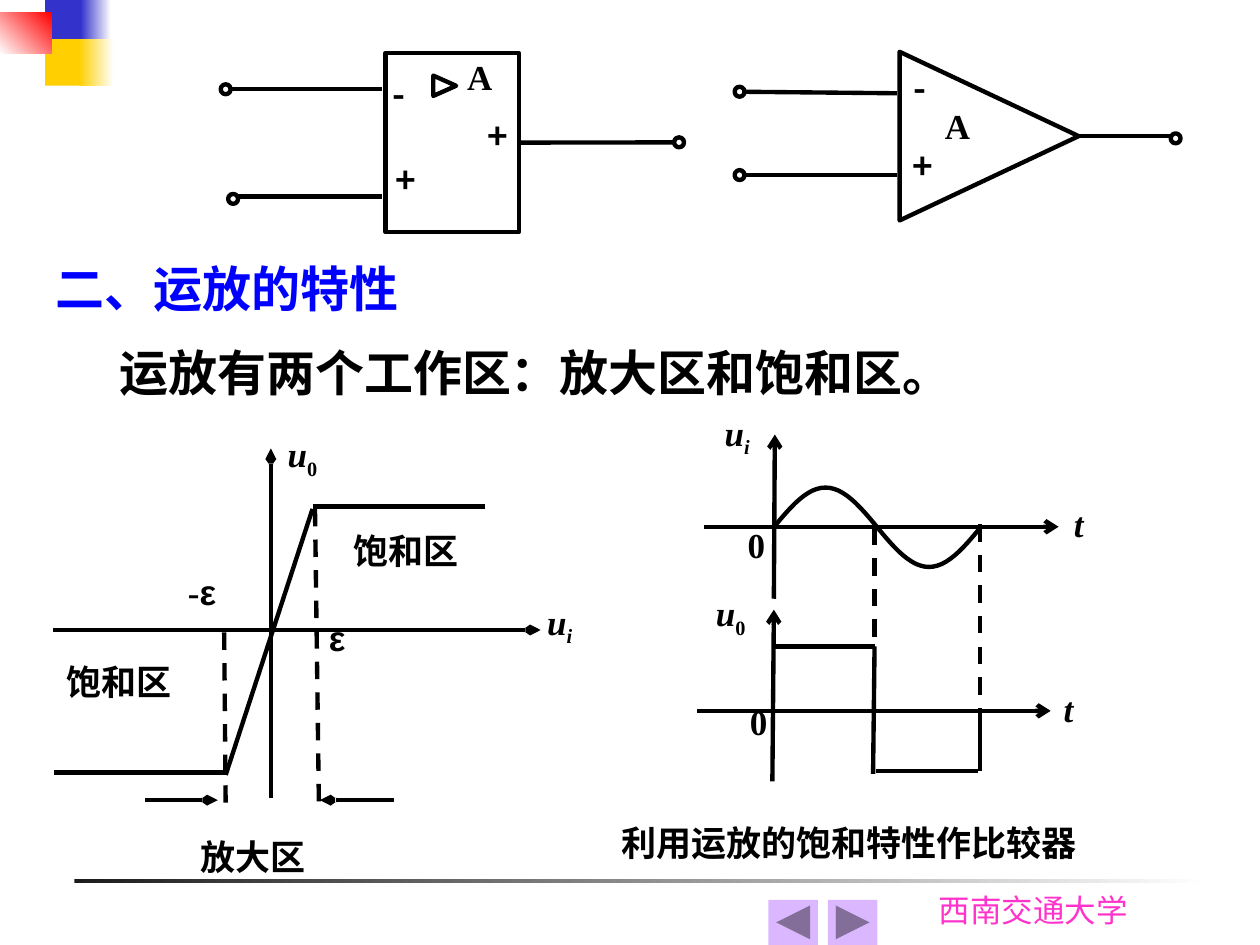
"""Build a slide on operational amplifier symbols and their characteristics."""
import math

import lxml.etree
import pptx
import pptx.dml.color
import pptx.enum.dml
import pptx.enum.shapes
import pptx.enum.text
import pptx.oxml.ns
import pptx.util

Cm = pptx.util.Cm
Pt = pptx.util.Pt
SHAPE = pptx.enum.shapes.MSO_SHAPE
ALIGN = pptx.enum.text.PP_ALIGN
SERIF = "Times New Roman"
SANS = "Noto Sans CJK SC"
BLACK, WHITE = "000000", "FFFFFF"
STROKE = Pt(2.5)
TIGHT, SNUG, ROOMY = (0, 0), (0.03, 0.03), (0.25, 0.13)
SIGN, GAIN = (0.91, 1.27), (1.27, 1.35)
REGION, AXIS, TICK = (2.82, 1.32), (2.64, 1.32), (1.02, 1.04)
U_IN = [("u", True, False), ("i", True, True)]
U_OUT = [("u", True, False), ("0", False, True)]
TIME = [("t", True, False)]


def color(value):
    return pptx.dml.color.RGBColor.from_string(value)


def add_block(slide, kind, box, fills, angle=0, outlined=False, rotation=0):
    """Draw a preset shape with one fill colour or a two-colour gradient."""
    block = slide.shapes.add_shape(kind, *map(Cm, box))
    block.shadow.inherit = False
    block.rotation = rotation
    if len(fills) == 1:
        block.fill.solid()
        block.fill.fore_color.rgb = color(fills[0])
    else:
        block.fill.gradient()
        block.fill.gradient_angle = angle
        for stop, value in zip(block.fill.gradient_stops, fills):
            stop.color.rgb = color(value)
    if outlined:
        block.line.color.rgb = color(BLACK)
        block.line.width = STROKE
    else:
        block.line.fill.background()
    return block


def add_line(slide, start, end, dashed=False, arrow_width=None):
    """Draw a straight stroke, with an open arrowhead if a width is given."""
    stroke = slide.shapes.add_connector(
        pptx.enum.shapes.MSO_CONNECTOR.STRAIGHT, *map(Cm, start + end))
    stroke.line.color.rgb = color(BLACK)
    stroke.line.width = STROKE
    if dashed:
        stroke.line.dash_style = pptx.enum.dml.MSO_LINE.DASH
    qn = pptx.oxml.ns.qn
    if arrow_width:
        lxml.etree.SubElement(stroke.line._get_or_add_ln(), qn("a:tailEnd"),
                              type="arrow", w=arrow_width, len="med")
    lxml.etree.SubElement(stroke._element.spPr, qn("a:effectLst"))
    return stroke


def add_text(slide, place, size, content, inset=SNUG, points=20, font=SERIF,
             ink=BLACK, bold=True, align=ALIGN.JUSTIFY, middle=False, wrap=True):
    """Write one paragraph; content is a string or (text, italic, subscript) runs."""
    box = slide.shapes.add_textbox(*map(Cm, place + size))
    frame = box.text_frame
    frame.word_wrap = wrap
    frame.margin_left = frame.margin_right = Cm(inset[0])
    frame.margin_top = frame.margin_bottom = Cm(inset[1])
    if middle:
        frame.vertical_anchor = pptx.enum.text.MSO_ANCHOR.MIDDLE
    paragraph = frame.paragraphs[0]
    paragraph.alignment = align
    paragraph.font.name = font
    paragraph.font.size = Pt(points)
    paragraph.font.bold = bold
    paragraph.font.color.rgb = color(ink)
    runs = [(content, False, False)] if isinstance(content, str) else content
    if all(italic for _, italic, _ in runs):
        paragraph.font.italic = True
    for text, italic, subscript in runs:
        run = paragraph.add_run()
        run.text = text
        if italic:
            run.font.italic = True
        if subscript:
            run._r.get_or_add_rPr().set("baseline", "-25000")
    return paragraph


def add_terminals(slide, places):
    """Draw the small open circles at the ends of the leads."""
    for place in places:
        add_block(slide, SHAPE.OVAL, place + (0.2, 0.2), [WHITE], outlined=True)


def add_sine(slide, left, axis, period, height):
    """Draw one period of a sine wave."""
    steps = 48
    points = [(Cm(left + period * n / steps),
               Cm(axis - height * math.sin(2 * math.pi * n / steps)))
              for n in range(steps + 1)]
    builder = slide.shapes.build_freeform(*points[0])
    builder.add_line_segments(points[1:], close=False)
    wave = builder.convert_to_shape()
    wave.shadow.inherit = False
    wave.fill.background()
    wave.line.color.rgb = color(BLACK)
    wave.line.width = STROKE


def add_decoration(slide):
    """Draw the corner squares, the footer and the navigation buttons."""
    for box, fills, angle in [
            ((1.5, 17.73, 22.86, 0.08), ["1C1C1C", WHITE], 0),
            ((0.91, 0, 0.81, 0.94), ["3333CC"], 0),
            ((1.63, 0, 0.61, 0.94), ["3333CC", WHITE], 0),
            ((0.91, 0.79, 0.79, 0.94), ["FFCF01"], 0),
            ((1.6, 0.79, 0.69, 0.94), ["FFCF01", WHITE], 0),
            ((0, 0.25, 1.04, 0.84), [WHITE, "FF0000"], 45)]:
        add_block(slide, SHAPE.RECTANGLE, box, fills, angle)
    add_text(slide, (18.67, 17.83), (4.6, 1.02), "西南交通大学", ROOMY, 18,
             "Karla", "FF33CC", bold=False, align=ALIGN.LEFT)
    for kind, left in [(SHAPE.ACTION_BUTTON_BACK_OR_PREVIOUS, 15.49),
                       (SHAPE.ACTION_BUTTON_FORWARD_OR_NEXT, 16.69)]:
        add_block(slide, kind, (left, 18.14, 1, 0.91), ["DBB7FF"])


def add_symbols(slide):
    """Draw the rectangular and the triangular amplifier symbols."""
    body = add_block(slide, SHAPE.RECTANGLE, (7.77, 1.07, 2.69, 3.61), [WHITE],
                     outlined=True)
    for box in [(8.76, 1.5, 0.41, 0.46), (18.24, 0.94, 3.4, 3.61)]:
        add_block(slide, SHAPE.ISOSCELES_TRIANGLE, box, [WHITE],
                  outlined=True, rotation=90)
    output = add_line(slide, (10.46, 2.87), (13.61, 2.87))
    output.begin_connect(body, 3)
    for start, end in [((7.7, 1.8), (4.65, 1.8)), ((7.7, 3.96), (4.65, 3.96)),
                       ((18.08, 1.88), (15.01, 1.85)),
                       ((18.08, 3.53), (15.01, 3.53)),
                       ((21.69, 2.74), (23.6, 2.74))]:
        add_line(slide, start, end)
    add_terminals(slide, [(4.45, 1.7), (4.6, 3.91), (13.59, 2.77),
                          (14.81, 1.75), (14.81, 3.43), (23.6, 2.69)])
    for sign, place in [("-", (7.92, 1.47)), ("+", (7.98, 3.2)), ("+", (9.83, 2.31)),
                        ("-", (18.41, 1.35)), ("+", (18.39, 2.92))]:
        add_text(slide, place, SIGN, sign, TIGHT, font=SANS)
    for place in [(9.42, 1.12), (19.05, 2.11)]:
        add_text(slide, place, GAIN, "A", TIGHT)


def add_transfer_curve(slide):
    """Draw the output against input characteristic."""
    for start, end in [((1.07, 12.7), (10.9, 12.7)), ((5.46, 16.08), (5.46, 9.04)),
                       ((2.92, 16.13), (4.39, 16.13)), ((7.95, 16.13), (6.45, 16.13))]:
        add_line(slide, start, end, arrow_width="sm")
    for start, end in [((6.3, 10.26), (4.55, 15.62)), ((6.3, 10.21), (9.78, 10.21)),
                       ((1.09, 15.57), (4.6, 15.57))]:
        add_line(slide, start, end)
    for start, end in [((6.35, 10.26), (6.43, 16.31)), ((4.52, 12.75), (4.55, 16.36))]:
        add_line(slide, start, end, dashed=True)
    for content, place, size in [
            ("饱和区", (7.09, 10.64), REGION), ("饱和区", (1.32, 13.28), REGION),
            ("放大区", (4.01, 16.81), REGION),
            (U_IN, (11, 12.07), AXIS), (U_OUT, (5.77, 8.69), AXIS)]:
        add_text(slide, place, size, content)
    add_text(slide, (6.6, 12.4), (1.65, 1.32), "ε", font="Arial")
    threshold = add_text(slide, (3.76, 11.48), (1.65, 1.32),
                         [("-", False, False), ("ε", False, False)])
    threshold.runs[1].font.name = "Arial"


def add_comparator_waves(slide):
    """Draw the sine input and the square output over time."""
    for start, end in [((14.2, 10.62), (21.34, 10.62)), ((15.6, 12.07), (15.62, 8.76)),
                       ((14.05, 14.33), (21.18, 14.33)), ((15.57, 15.75), (15.6, 12.29))]:
        add_line(slide, start, end, arrow_width="med")
    for start, end in [((19.76, 10.57), (19.76, 14.38)), ((17.63, 10.64), (17.63, 13))]:
        add_line(slide, start, end, dashed=True)
    for start, end in [((15.62, 13.03), (17.63, 13.03)), ((17.63, 13.03), (17.6, 15.6)),
                       ((17.65, 15.54), (19.71, 15.54)), ((19.76, 14.35), (19.76, 15.54))]:
        add_line(slide, start, end)
    add_sine(slide, 15.6, 10.63, 4.17, 0.8)
    for content, place in [(U_IN, (14.58, 8.26)), (U_OUT, (14.4, 11.89)),
                           (TIME, (21.62, 10.11)), (TIME, (21.41, 13.82)),
                           ("0", (15.04, 10.52)), ("0", (15.09, 14.1))]:
        add_text(slide, place, TICK, content)
    add_text(slide, (12.27, 16.43), (11.51, 1.65), "利用运放的饱和特性作比较器", ROOMY)


def main():
    deck = pptx.Presentation()
    deck.slide_width, deck.slide_height = Cm(25.4), Cm(19.05)
    slide = deck.slides.add_slide(deck.slide_layouts[6])
    add_decoration(slide)
    add_symbols(slide)
    add_text(slide, (0.64, 5.08), (7.87, 1.45), "二、运放的特性", ROOMY, 28,
             ink="0000FF", align=ALIGN.CENTER, middle=True)
    add_text(slide, (2.16, 6.78), (17.27, 1.45), "运放有两个工作区：放大区和饱和区。",
             ROOMY, 28, align=ALIGN.CENTER, middle=True, wrap=False)
    add_transfer_curve(slide)
    add_comparator_waves(slide)
    deck.save("out.pptx")


if __name__ == "__main__":
    main()
